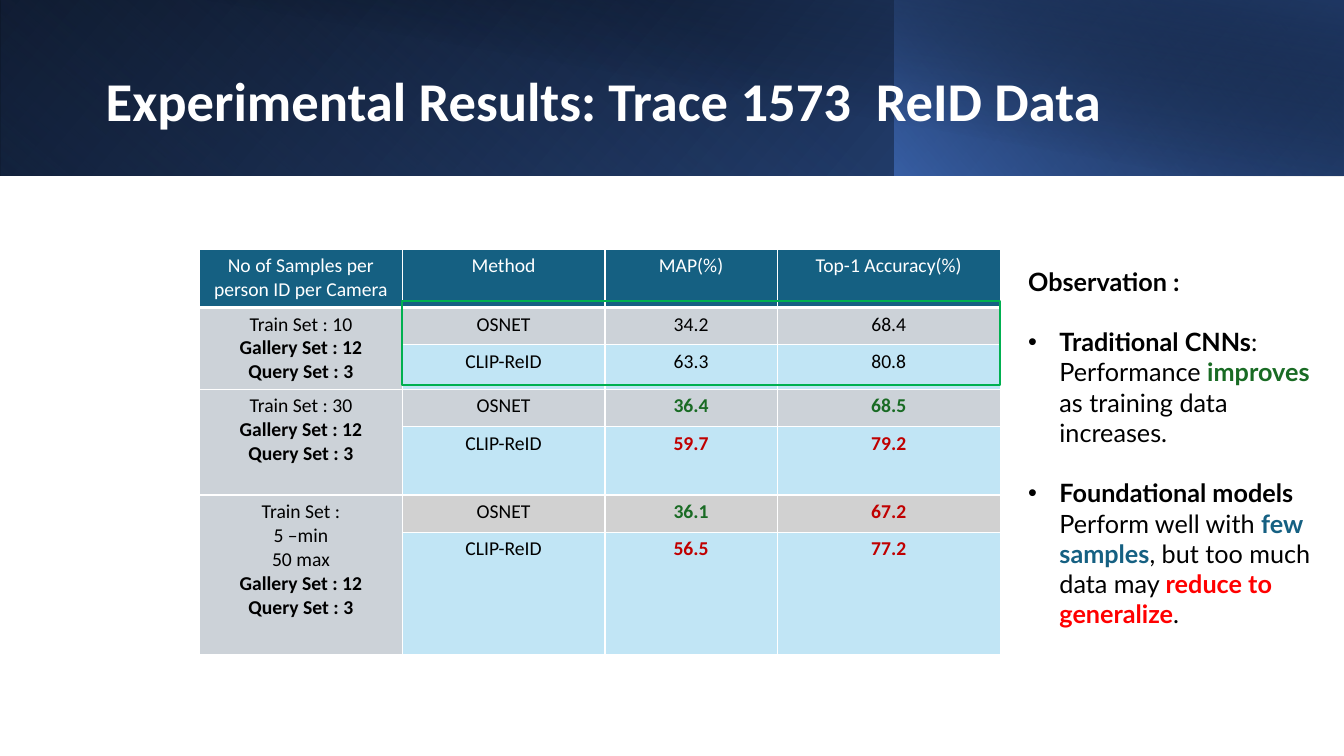
from dataclasses import dataclass

from lxml import etree
from pptx import Presentation
from pptx.dml.color import RGBColor
from pptx.enum import shapes, text
from pptx.oxml import ns
from pptx.util import Inches, Pt

WHITE, BLACK, GREEN, RED = "FFFFFF", "000000", "196B24", "C00000"
TEAL, GREY, PALE, SILVER = "156082", "CCD2D8", "C1E5F5", "D1D1D1"


@dataclass
class Stop:
    position: int
    color: str
    opacity: int = 100


@dataclass
class Band:
    left: float
    width: float
    height: float
    angle: int
    stops: list[Stop]
    flipped: bool = True
    rotation: int = 0


@dataclass
class Score:
    value: str
    color: str = BLACK
    bold: bool = False


@dataclass
class Result:
    method: str
    fill: str
    scores: list[Score]


@dataclass
class Group:
    train: list[str]
    results: list[Result]


BANDS = [
    Band(0, 13.33, 1.74, 140, [Stop(0, BLACK), Stop(100, "2F5496")]),
    Band(0, 8.88, 1.74, 230,
         [Stop(0, "4472C4", 0), Stop(20, "4472C4", 0), Stop(100, "1F3864", 54)], rotation=180),
    Band(8.87, 4.46, 1.74, 220, [Stop(0, "4472C4", 65), Stop(100, BLACK, 29)]),
    Band(0.5, 12.83, 1.75, 280,
         [Stop(0, BLACK, 0), Stop(50, BLACK, 0), Stop(99, "1F3864", 51), Stop(100, "1F3864", 51)],
         flipped=False),
]
HEADINGS = ["No of Samples per person ID per Camera", "Method", "MAP(%)", "Top-1 Accuracy(%)"]
COLUMN_WIDTHS = [2.01, 2.01, 1.71, 2.21]
ROW_HEIGHTS = [0.58, 0.37, 0.44, 0.37, 0.68, 0.37, 1.21]
GROUPS = [
    Group(["Train Set : 10"], [
        Result("OSNET", GREY, [Score("34.2"), Score("68.4")]),
        Result("CLIP-ReID", PALE, [Score("63.3"), Score("80.8")])]),
    Group(["Train Set : 30"], [
        Result("OSNET", GREY, [Score("36.4", GREEN, True), Score("68.5", GREEN, True)]),
        Result("CLIP-ReID", PALE, [Score("59.7", RED, True), Score("79.2", RED, True)])]),
    Group(["Train Set :", "5 –min", "50 max"], [
        Result("OSNET", SILVER, [Score("36.1", GREEN, True), Score("67.2", RED, True)]),
        Result("CLIP-ReID", PALE, [Score("56.5", RED, True), Score("77.2", RED, True)])]),
]
SHARED_SETS = ["Gallery Set : 12", "Query Set : 3"]
OBSERVATIONS = [
    [("Traditional CNNs", BLACK, True), (": Performance ", BLACK, False),
     ("improves", GREEN, True), (" as training data increases.", BLACK, False)],
    [("Foundational models ", BLACK, True), ("Perform well with ", BLACK, False),
     ("few samples", TEAL, True), (", but too much data may ", BLACK, False),
     ("reduce to generalize", "FF0000", True), (".", BLACK, False)],
]


def rgb(color: str) -> RGBColor:
    return RGBColor.from_string(color)


def add_span(para, wording: str, *, size: float = 14, font: str = "Calibri",
             color: str = BLACK, bold: bool = False) -> None:
    span = para.add_run()
    span.text = wording
    span.font.size = Pt(size)
    span.font.name = font
    span.font.bold = bold
    span.font.color.rgb = rgb(color)


def sub(parent, tag: str, **attributes):
    return etree.SubElement(parent, ns.qn(tag), {k: str(v) for k, v in attributes.items()})


def add_band(page, band: Band) -> None:
    shape = page.shapes.add_shape(shapes.MSO_SHAPE.RECTANGLE, Inches(band.left), 0,
                                  Inches(band.width), Inches(band.height))
    shape.shadow.inherit = False
    shape.line.fill.background()
    shape.rotation = band.rotation
    properties = shape.element.spPr
    if band.flipped:
        properties.find(ns.qn("a:xfrm")).set("flipH", "1")
    shape.fill.background()
    gradient = etree.Element(ns.qn("a:gradFill"), {"rotWithShape": "1"})
    stops = sub(gradient, "a:gsLst")
    for stop in band.stops:
        mark = sub(stops, "a:gs", pos=stop.position * 1000)
        color = sub(mark, "a:srgbClr", val=stop.color)
        if stop.opacity < 100:
            sub(color, "a:alpha", val=stop.opacity * 1000)
    sub(gradient, "a:lin", ang=band.angle * 60000, scaled=0)
    properties.replace(properties.find(ns.qn("a:noFill")), gradient)


def add_borders(cell, bottom: float) -> None:
    properties = cell._tc.get_or_add_tcPr()
    for place, side in enumerate(["L", "R", "T", "B"]):
        points = bottom if side == "B" else 1
        border = etree.Element(ns.qn(f"a:ln{side}"), {"w": str(Pt(points))})
        sub(sub(border, "a:solidFill"), "a:srgbClr", val=WHITE)
        properties.insert(place, border)


def fill_cell(cell, lines: list[Score], fill: str, bottom: float = 1) -> None:
    cell.fill.solid()
    cell.fill.fore_color.rgb = rgb(fill)
    add_borders(cell, bottom)
    frame = cell.text_frame
    for place, line in enumerate(lines):
        para = frame.add_paragraph() if place else frame.paragraphs[0]
        para.alignment = text.PP_ALIGN.CENTER
        add_span(para, line.value, color=line.color, bold=line.bold)


def add_results(page) -> None:
    frame = page.shapes.add_table(len(ROW_HEIGHTS), len(COLUMN_WIDTHS), Inches(1.98), Inches(2.47),
                                  Inches(sum(COLUMN_WIDTHS)), Inches(sum(ROW_HEIGHTS)))
    table = frame.table
    table.horz_banding = False
    for column, width in zip(table.columns, COLUMN_WIDTHS):
        column.width = Inches(width)
    for row, height in zip(table.rows, ROW_HEIGHTS):
        row.height = Inches(height)
    for column, heading in enumerate(HEADINGS):
        fill_cell(table.cell(0, column), [Score(heading, WHITE)], TEAL, bottom=3)
    for number, group in enumerate(GROUPS):
        top = 1 + 2 * number
        table.cell(top, 0).merge(table.cell(top + 1, 0))
        sets = [Score(line) for line in group.train]
        sets += [Score(line, bold=True) for line in SHARED_SETS]
        fill_cell(table.cell(top, 0), sets, GREY)
        fill_cell(table.cell(top + 1, 0), [], GREY)
        for row, result in enumerate(group.results, top):
            for column, score in enumerate([Score(result.method), *result.scores], 1):
                fill_cell(table.cell(row, column), [score], result.fill)


def add_text_frame(page, left: float, top: float, width: float, height: float):
    box = page.shapes.add_textbox(Inches(left), Inches(top), Inches(width), Inches(height))
    box.text_frame.word_wrap = True
    return box.text_frame


def add_title(page) -> None:
    frame = add_text_frame(page, 0.95, 0.6, 11.29, 0.87)
    frame.vertical_anchor = text.MSO_ANCHOR.MIDDLE
    para = frame.paragraphs[0]
    para.line_spacing = 0.9
    add_span(para, "Experimental Results: Trace 1573  ReID Data", size=39, color=WHITE, bold=True)


def add_observations(page) -> None:
    frame = add_text_frame(page, 10.1, 2.59, 3.1, 4.04)
    add_span(frame.paragraphs[0], "Observation :", size=18, font="Lato", bold=True)
    for observation in OBSERVATIONS:
        para = frame.add_paragraph()
        para.space_before = Pt(21.6)
        properties = para._p.get_or_add_pPr()
        properties.set("marL", str(Inches(0.31)))
        properties.set("indent", str(Inches(-0.31)))
        sub(properties, "a:buFont", typeface="Arial")
        sub(properties, "a:buChar", char="•")
        for wording, color, bold in observation:
            add_span(para, wording, size=18, font="Lato", color=color, bold=bold)


def add_highlight(page) -> None:
    box = page.shapes.add_shape(shapes.MSO_SHAPE.RECTANGLE, Inches(3.99), Inches(2.99),
                                Inches(5.93), Inches(0.83))
    box.shadow.inherit = False
    box.fill.background()
    box.line.color.rgb = rgb("00B050")
    box.line.width = Pt(1.5)


def main() -> None:
    deck = Presentation()
    deck.slide_width, deck.slide_height = Inches(13.33), Inches(7.5)
    page = deck.slides.add_slide(deck.slide_layouts[6])
    for band in BANDS:
        add_band(page, band)
    add_results(page)
    add_title(page)
    add_highlight(page)
    add_observations(page)
    deck.save("out.pptx")


if __name__ == "__main__":
    main()
